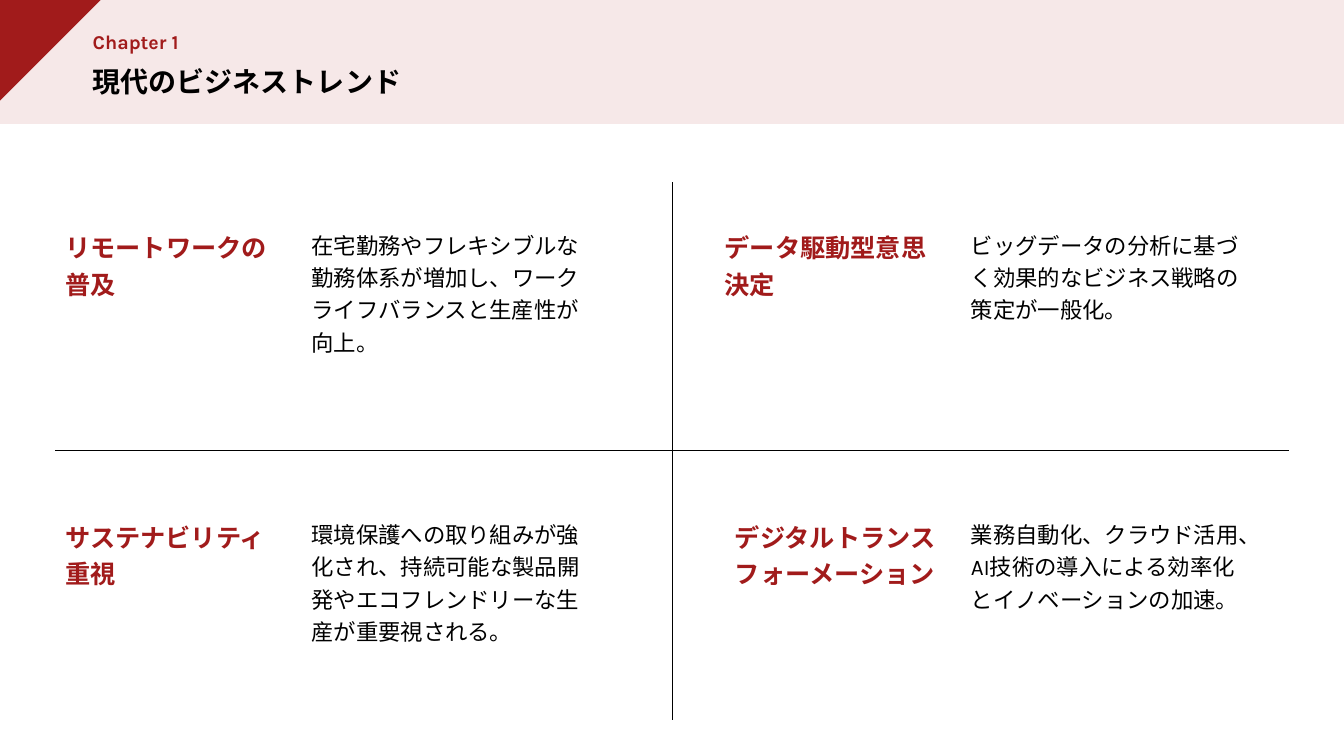
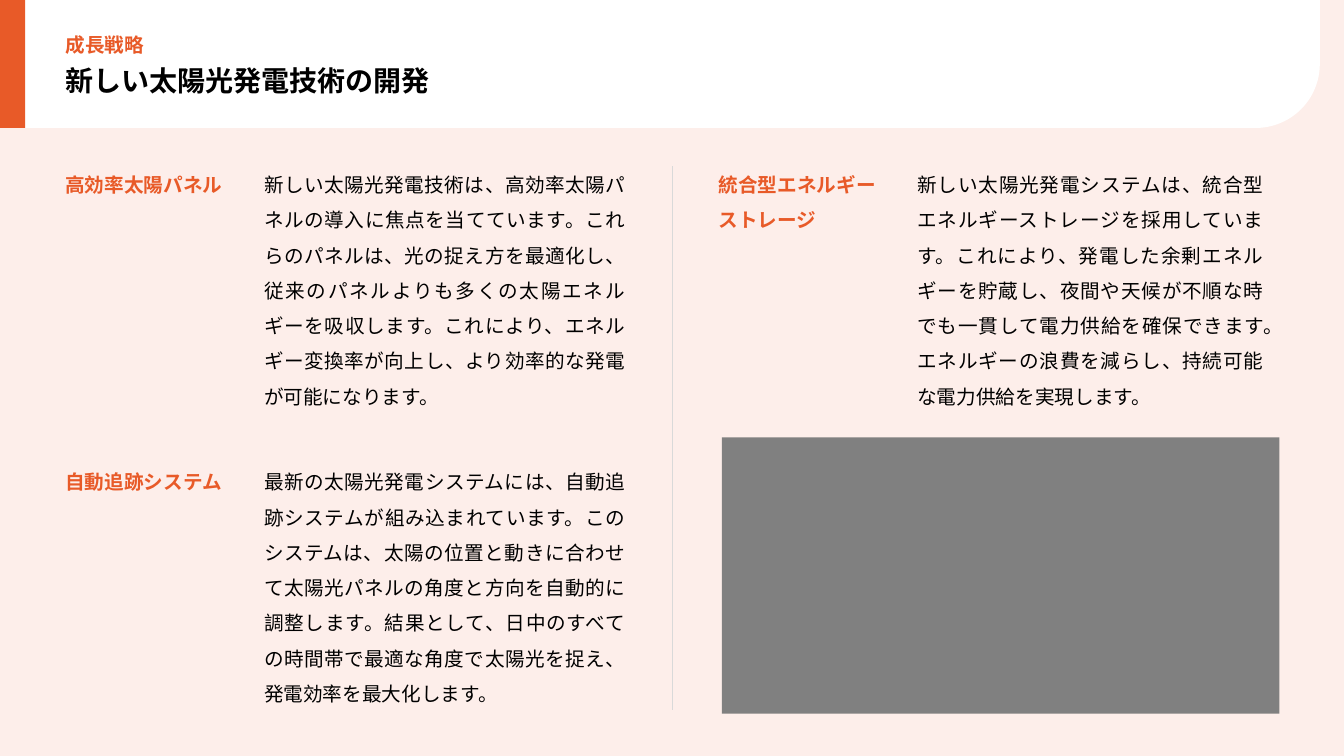
from pptx import Presentation
from pptx.dml.color import RGBColor
from pptx.enum.shapes import MSO_CONNECTOR as Conn, MSO_SHAPE as Shape
from pptx.enum.text import MSO_AUTO_SIZE as Fit, PP_ALIGN as Align
from pptx.oxml.ns import qn
from pptx.util import Inches, Pt
from lxml.etree import SubElement

BLACK, WHITE, GREY, RULE = "000000", "FFFFFF", "808080", "D9D9D9"
RED, ROSE = "A11B1B", "F6E8E8"
ORANGE, PEACH = "E85A28", "FDEEEA"
KARLA, NOTO = "Karla", "Noto Sans CJK JP"
MID = 6.67

TRENDS = [
    (0.55, 2.2, 2.99, "リモートワークの普及",
     "在宅勤務やフレキシブルな勤務体系が増加し、ワークライフバランスと生産性が向上。"),
    (0.55, 5.07, 2.99, "サステナビリティ重視",
     "環境保護への取り組みが強化され、持続可能な製品開発やエコフレンドリーな生産が重要視される。"),
    (7.09, 2.2, 9.53, "データ駆動型意思決定",
     "ビッグデータの分析に基づく効果的なビジネス戦略の策定が一般化。"),
    (7.19, 5.07, 9.53, "デジタルトランスフォーメーション",
     "業務自動化、クラウド活用、AI技術の導入による効率化とイノベーションの加速。"),
]
SOLAR = [
    (0.55, 1.55, 2.52, 3.78, "高効率太陽パネル",
     "新しい太陽光発電技術は、高効率太陽パネルの導入に焦点を当てています。"
     "これらのパネルは、光の捉え方を最適化し、従来のパネルよりも多くの太陽エネルギーを吸収します。"
     "これにより、エネルギー変換率が向上し、より効率的な発電が可能になります。"),
    (0.55, 4.5, 2.52, 3.78, "自動追跡システム",
     "最新の太陽光発電システムには、自動追跡システムが組み込まれています。"
     "このシステムは、太陽の位置と動きに合わせて太陽光パネルの角度と方向を自動的に調整します。"
     "結果として、日中のすべての時間帯で最適な角度で太陽光を捉え、発電効率を最大化します。"),
    (7.03, 1.55, 9, 3.63, "統合型エネルギー\nストレージ",
     "新しい太陽光発電システムは、統合型エネルギーストレージを採用しています。"
     "これにより、発電した余剰エネルギーを貯蔵し、夜間や天候が不順な時でも一貫して電力供給を確保できます。"
     "エネルギーの浪費を減らし、持続可能な電力供給を実現します。"),
]


def rgb(code):
    return RGBColor.from_string(code)


def paint(item, color):
    item.shadow.inherit = False
    item.fill.solid()
    item.fill.fore_color.rgb = rgb(color)
    item.line.fill.background()
    return item


def block(slide, box, color, kind=Shape.RECTANGLE):
    return paint(slide.shapes.add_shape(kind, *map(Inches, box)), color)


def rule(slide, ends, color, width):
    line = slide.shapes.add_connector(Conn.STRAIGHT, *map(Inches, ends))
    line.line.color.rgb = rgb(color)
    line.line.width = Pt(width)
    SubElement(line._element.spPr, qn("a:effectLst"))


def write(slide, text, box, size, font, color=BLACK, bold=False, space=None, align=None):
    frame = slide.shapes.add_textbox(*map(Inches, box)).text_frame
    frame.word_wrap = True
    frame.auto_size = Fit.SHAPE_TO_FIT_TEXT
    for i, part in enumerate(text.split("\n")):
        para = frame.add_paragraph() if i else frame.paragraphs[0]
        para.line_spacing = space
        para.alignment = align
        run = para.add_run()
        run.text = part
        run.font.name, run.font.size, run.font.bold = font, Pt(size), bold
        run.font.color.rgb = rgb(color)
        SubElement(run.font._element, qn("a:ea"), typeface=KARLA)


def start(deck, back):
    slide = deck.slides.add_slide(deck.slide_layouts[6])
    slide.background.fill.solid()
    slide.background.fill.fore_color.rgb = rgb(back)
    return slide


def head(slide, label, title, left, tops, font, color):
    write(slide, label, (left, tops[0], 2.59, 0.34), 14, font, color, bold=True)
    write(slide, title, (left, tops[1], 4.76, 0.44), 20, font, bold=True)


def trends(deck):
    slide = start(deck, WHITE)
    block(slide, (0, 0, 13.33, 1.23), ROSE)
    pen = slide.shapes.build_freeform(0, 0, scale=Inches(1))
    pen.add_line_segments([(0.7, 0), (0.39, 1.23), (0, 1.23)])
    paint(pen.convert_to_shape(), RED)
    head(slide, "Chapter 1", "現代のビジネストレンド", 0.82, (0.25, 0.59), KARLA, RED)
    rule(slide, (MID, 1.81, MID, 7.14), BLACK, 0.5)
    rule(slide, (0.55, 4.47, 12.78, 4.47), BLACK, 0.5)
    for left, top, body, name, text in TRENDS:
        write(slide, name, (left, top, 2.24, 0.81), 18, KARLA, RED, bold=True, space=1.2)
        write(slide, text, (body, top, 2.98, 1.38), 16, KARLA, space=1.2)


def solar(deck):
    slide = start(deck, PEACH)
    block(slide, (7.16, 4.34, 5.53, 2.74), GREY)
    band = block(slide, (0, 0, 13.09, 1.27), WHITE, Shape.ROUND_1_RECTANGLE)
    band.adjustments[0] = 0.5
    band._element.spPr.find(qn("a:xfrm")).set("flipV", "1")
    block(slide, (0, 0, 0.25, 1.27), ORANGE)
    head(slide, "成長戦略", "新しい太陽光発電技術の開発", 0.55, (0.28, 0.58), NOTO, ORANGE)
    rule(slide, (MID, 1.65, MID, 7.04), RULE, 1.25)
    for left, top, body, width, name, text in SOLAR:
        write(slide, name, (left, top, 2.5, 0.41), 14, NOTO, ORANGE, bold=True, space=1.5)
        write(slide, text, (body, top, width, 2.53), 14, NOTO, space=1.5, align=Align.JUSTIFY)


def main():
    """Build the trend slide and the solar slide."""
    deck = Presentation()
    deck.slide_width, deck.slide_height = Inches(13.33), Inches(7.5)
    trends(deck)
    solar(deck)
    deck.save("out.pptx")


if __name__ == "__main__":
    main()
